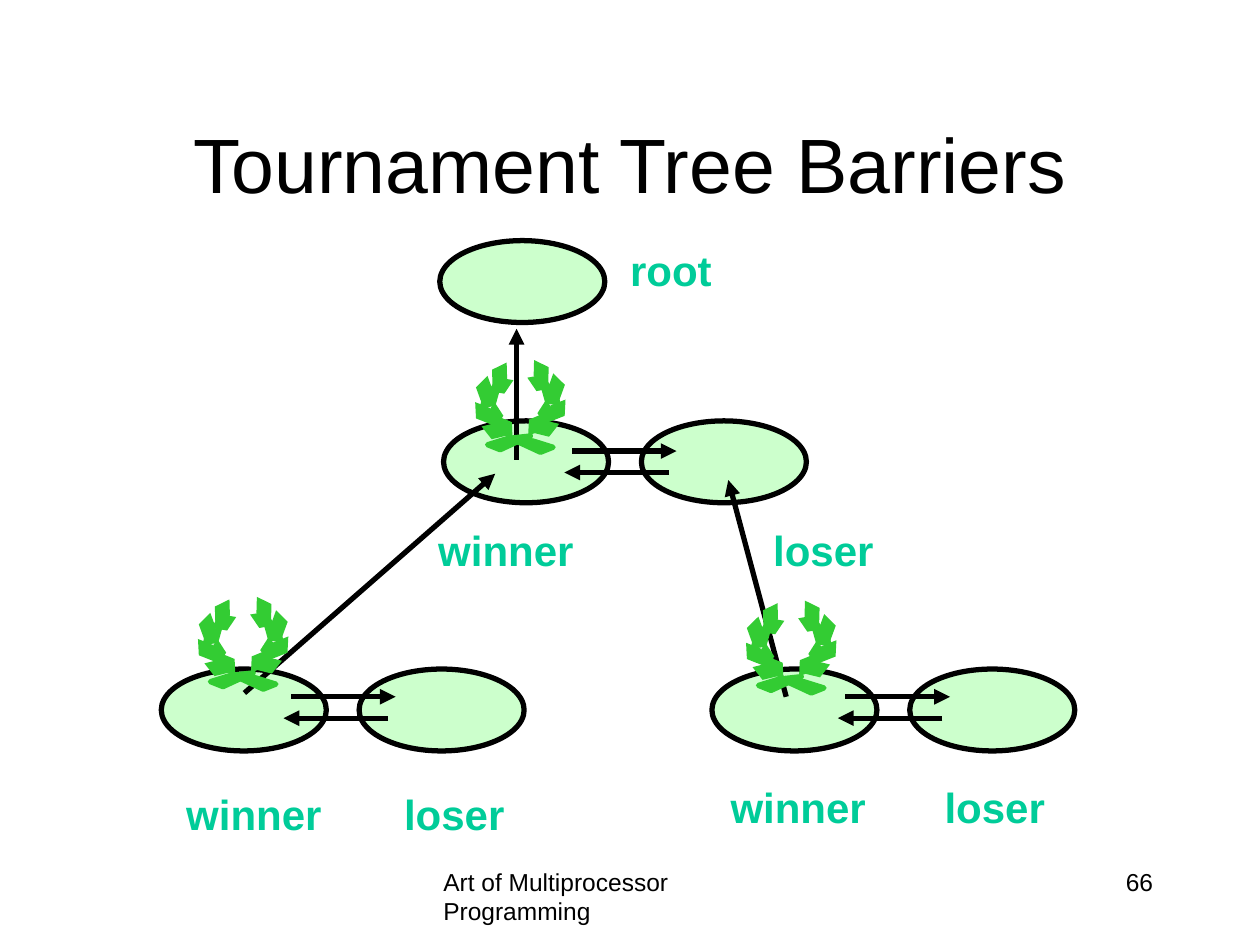
from dataclasses import dataclass

from lxml import etree
from pptx import Presentation
from pptx.dml.color import RGBColor
from pptx.enum.shapes import MSO_CONNECTOR, MSO_SHAPE
from pptx.enum.text import MSO_ANCHOR, MSO_AUTO_SIZE, PP_ALIGN
from pptx.oxml.ns import qn
from pptx.util import Inches, Pt


@dataclass(frozen=True)
class Theme:
    font: str = "Arial"
    ink: RGBColor = RGBColor(0x00, 0x00, 0x00)
    node: RGBColor = RGBColor(0xCC, 0xFF, 0xCC)
    leaf: RGBColor = RGBColor(0x33, 0xCC, 0x33)
    label: RGBColor = RGBColor(0x00, 0xCC, 0x99)
    title_size: int = 44
    label_size: int = 24
    footer_size: int = 14
    line: int = 3


THEME = Theme()
NODE_W, NODE_H, NODE_STEP = 1.31, 0.65, 1.57
LEAF_W, LEAF_H = 0.09, 0.14
WREATH_W = 0.68

# Right half of the wreath: leaf left, top, rotation; then the stem outline
LEAVES = [(0.50, 0.33, 0), (0.59, 0.31, 35.7), (0.54, 0.20, 311.6),
          (0.58, 0.12, 347.4), (0.45, 0.09, 293.1), (0.46, 0, 328.9),
          (0.42, 0.42, 35.3), (0.50, 0.45, 71)]
STEM = [(0.42, 0.58), (0.24, 0.60), (0.08, 0.65), (0.18, 0.69), (0.31, 0.63)]


def paint(sp, fill, line):
    sp.shadow.inherit = False
    sp.fill.solid()
    sp.fill.fore_color.rgb = fill
    sp.line.color.rgb = line
    sp.line.width = Pt(THEME.line)


def add_text(tf, text, size, color, align, bold=False):
    p = tf.paragraphs[0]
    p.alignment = align
    r = p.add_run()
    r.text = text
    r.font.name = THEME.font
    r.font.size = Pt(size)
    r.font.bold = bold
    r.font.color.rgb = color


def add_box(slide, box, text, size, color, align, bold=False, wrap=True):
    tf = slide.shapes.add_textbox(*map(Inches, box)).text_frame
    tf.word_wrap = wrap
    if not wrap:
        tf.auto_size = MSO_AUTO_SIZE.SHAPE_TO_FIT_TEXT
    add_text(tf, text, size, color, align, bold)


def add_label(slide, box, text):
    add_box(slide, box, text, THEME.label_size, THEME.label,
            PP_ALIGN.CENTER, bold=True, wrap=False)


def add_arrow(slide, start, end):
    cx = slide.shapes.add_connector(
        MSO_CONNECTOR.STRAIGHT, *map(Inches, start + end))
    cx.line.color.rgb = THEME.ink
    cx.line.width = Pt(THEME.line)
    etree.SubElement(cx.line._get_or_add_ln(), qn("a:tailEnd"), type="triangle")
    etree.SubElement(cx._element.spPr, qn("a:effectLst"))


def add_node(shapes, left, top):
    sp = shapes.add_shape(MSO_SHAPE.OVAL, Inches(left), Inches(top),
                          Inches(NODE_W), Inches(NODE_H))
    paint(sp, THEME.node, THEME.ink)


def add_match(slide, left, top, arrow_dx, arrow_dy):
    """Two players side by side with an arrow each way between them."""
    group = slide.shapes.add_group_shape()
    for i in (1, 0):
        add_node(group.shapes, left + i * NODE_STEP, top)
    x, y = left + arrow_dx, top + arrow_dy
    add_arrow(slide, (x, y), (x + 0.83, y))
    add_arrow(slide, (x + 0.77, y + 0.17), (x - 0.06, y + 0.17))


def add_wreath(slide, left, top):
    """Laurel wreath: one half, then its mirror image set slightly lower."""
    shapes = slide.shapes.add_group_shape().shapes
    for mirrored in (False, True):
        y0 = top + (0.02 if mirrored else 0)
        for x, y, angle in LEAVES:
            if mirrored:
                x, angle = WREATH_W - LEAF_W - x, -angle % 360
            sp = shapes.add_shape(MSO_SHAPE.DIAMOND, Inches(left + x),
                                  Inches(y0 + y), Inches(LEAF_W), Inches(LEAF_H))
            sp.rotation = angle
            paint(sp, THEME.leaf, THEME.leaf)
            etree.SubElement(sp.line._get_or_add_ln(), qn("a:miter"), lim="800000")
        points = [(Inches(left + (WREATH_W - x if mirrored else x)),
                   Inches(y0 + y)) for x, y in STEM]
        builder = shapes.build_freeform(*points[0])
        builder.add_line_segments(points[1:], close=True)
        paint(builder.convert_to_shape(), THEME.leaf, THEME.leaf)


def add_title(slide, box):
    title = slide.shapes.title
    title.left, title.top, title.width, title.height = map(Inches, box)
    title.text_frame.vertical_anchor = MSO_ANCHOR.MIDDLE
    add_text(title.text_frame, "Tournament Tree Barriers", THEME.title_size,
             THEME.ink, PP_ALIGN.CENTER)


def add_footer(slide, top):
    for left, width, text, align in (
            (3.42, 3.17, "Art of Multiprocessor Programming", PP_ALIGN.LEFT),
            (7.17, 2.08, "66", PP_ALIGN.RIGHT)):
        # The book name breaks over two lines beside a wide right margin
        if align == PP_ALIGN.LEFT:
            width = 2.3
        add_box(slide, (left, top, width, 0.5), text, THEME.footer_size,
                THEME.ink, align)


def add_tree(slide):
    # Matches
    add_match(slide, 1.28, 5.31, 1.03, 0.22)
    add_match(slide, 5.65, 5.31, 1.06, 0.22)
    add_match(slide, 3.52, 3.34, 1.02, 0.24)
    add_node(slide.shapes, 3.49, 1.91)

    # Winners move up
    add_arrow(slide, (1.94, 5.50), (3.93, 3.76))
    add_arrow(slide, (6.24, 5.53), (5.78, 3.81))
    add_arrow(slide, (4.10, 3.65), (4.10, 2.61))

    # Wreaths on the winners
    for left, top in ((1.59, 4.76), (5.94, 4.79), (3.79, 2.88)):
        add_wreath(slide, left, top)

    # Labels
    for winner_x, loser_x, top in (
            (1.37, 3.10, 6.21), (5.69, 7.39, 6.15), (3.37, 6.03, 4.11)):
        add_label(slide, (winner_x, top, 1.29, 0.5), "winner")
        add_label(slide, (loser_x, top, 1.01, 0.5), "loser")
    add_label(slide, (4.89, 1.89, 0.87, 0.5), "root")


def main():
    prs = Presentation()
    prs.slide_width, prs.slide_height = Inches(10), Inches(7.5)
    slide = prs.slides.add_slide(prs.slide_layouts[5])
    add_title(slide, (0.75, 0.67, 8.5, 1.25))
    add_tree(slide)
    add_footer(slide, 6.83)
    prs.save("out.pptx")


if __name__ == "__main__":
    main()
